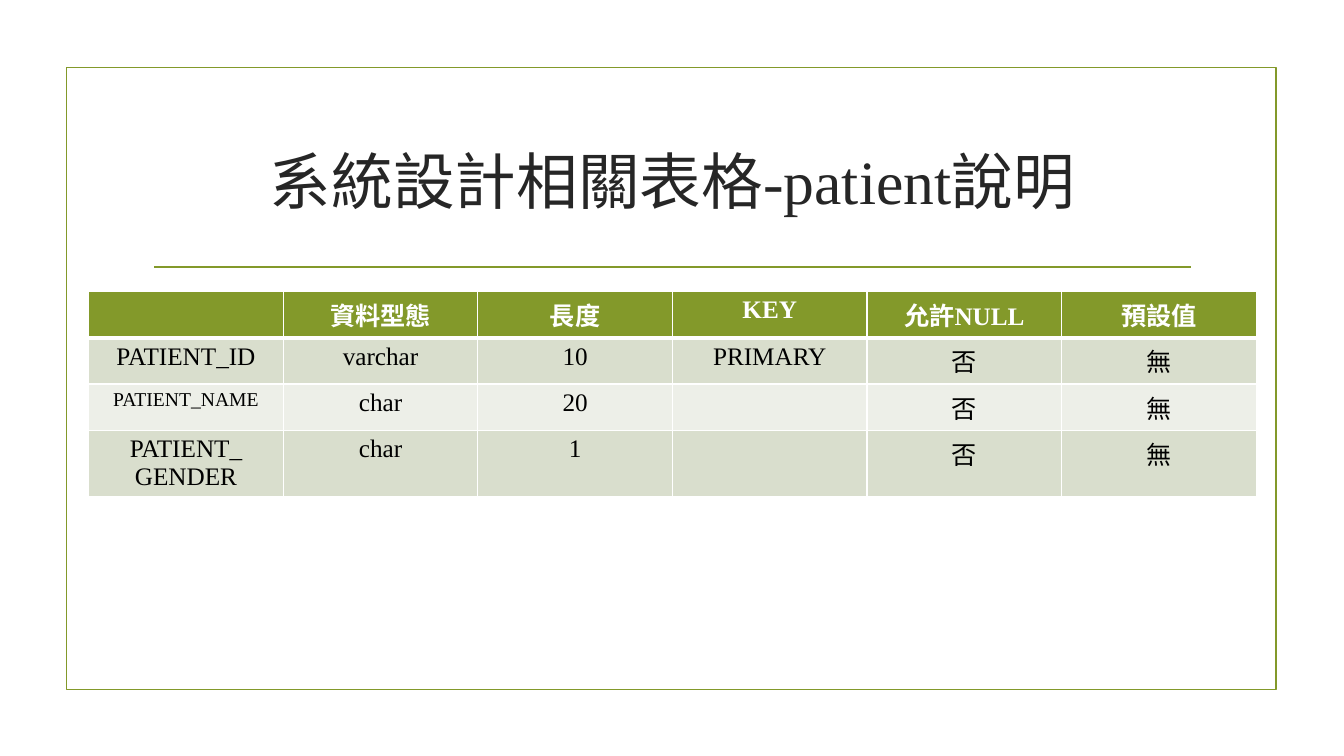
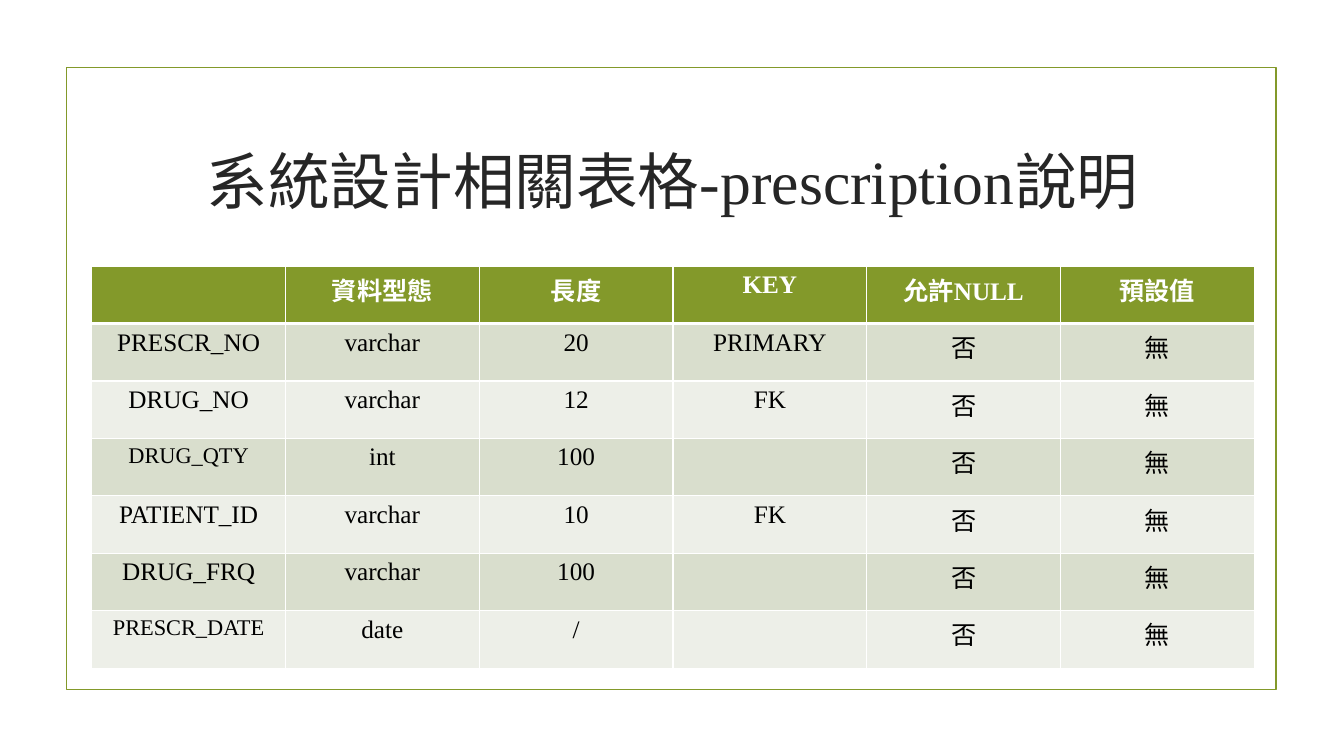
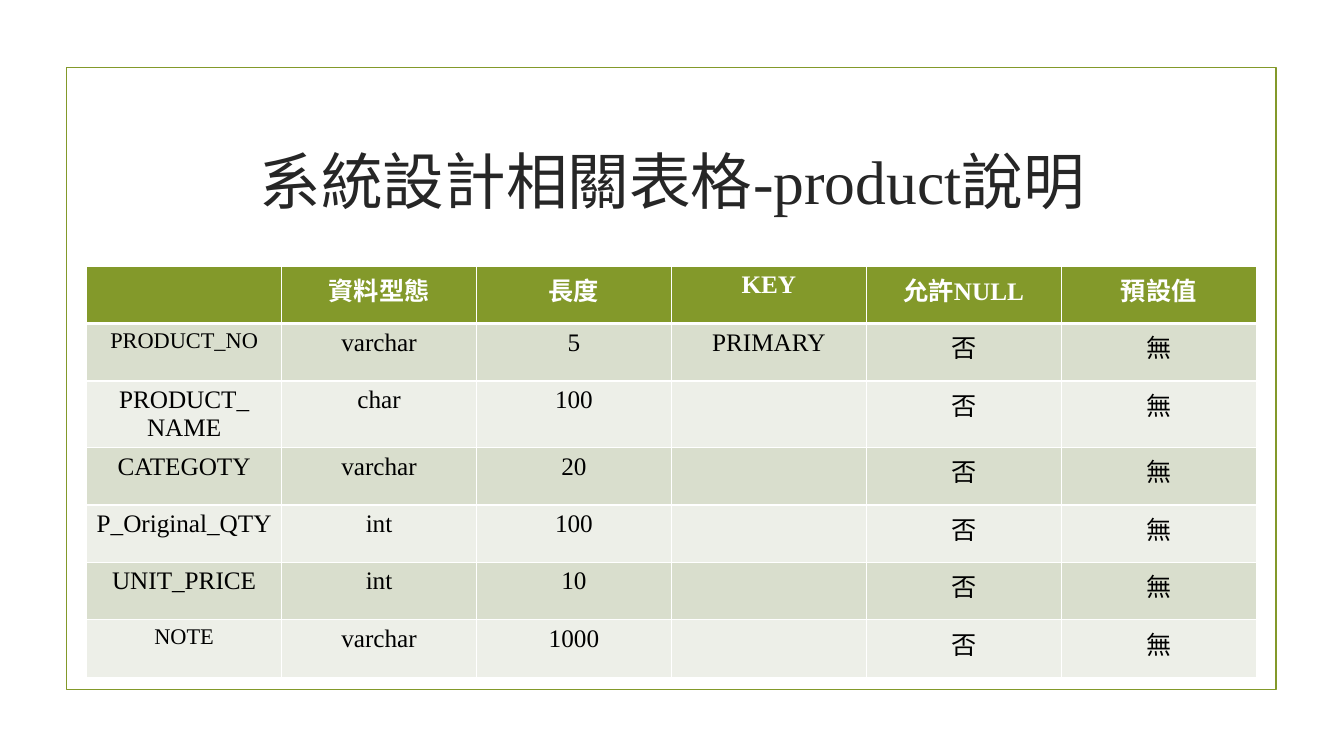
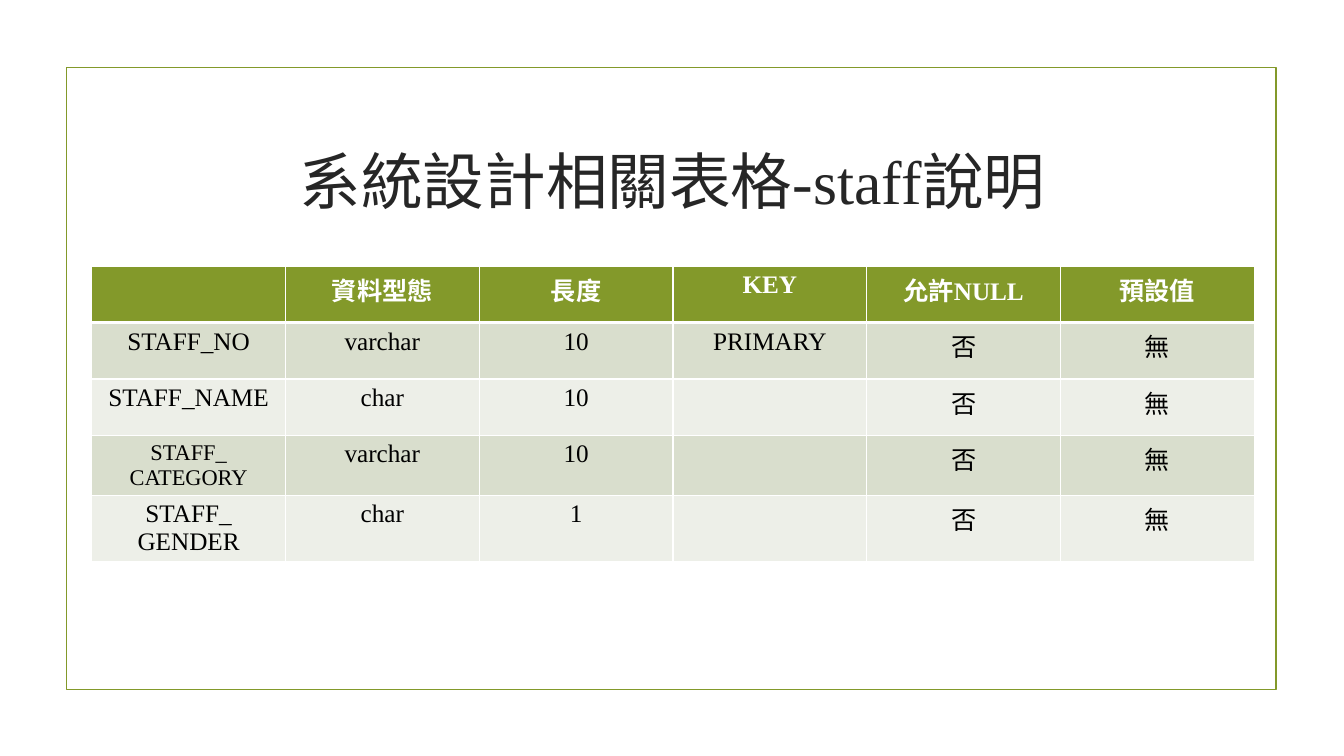
"""Build four slides that describe the database tables of a clinic system."""
import pptx
import pptx.util
import pptx.dml.color
import pptx.enum.lang
import pptx.enum.shapes
import pptx.enum.text
import pptx.oxml
import pptx.oxml.ns

Inches, Pt = pptx.util.Inches, pptx.util.Pt
RGBColor = pptx.dml.color.RGBColor

GREEN = RGBColor(0x83, 0x99, 0x2A)
INK = RGBColor(0x26, 0x26, 0x26)
BLACK = RGBColor(0, 0, 0)
WHITE = RGBColor(0xFF, 0xFF, 0xFF)
BANDS = (RGBColor(0xD9, 0xDE, 0xCD), RGBColor(0xED, 0xEF, 0xE8))
FONT = "Times New Roman"
SIDE_MARGIN = Inches(0.07)
BOTTOM_MARGIN = Inches(0.01)

HEADER = ("", "資料型態", "長度", "KEY", "允許NULL", "預設值")
DEFAULTS = ("否", "無")
TABLES = [
    {"name": "patient", "at": (0.88, 2.89), "width": 11.58, "row": 0.46,
     "small": {"PATIENT_NAME": 14},
     "fields": [
         ("PATIENT_ID", "varchar", "10", "PRIMARY"),
         ("PATIENT_NAME", "char", "20", ""),
         ("PATIENT_\nGENDER", "char", "1", ""),
     ]},
    {"name": "prescription", "at": (0.91, 2.64), "width": 11.53, "row": 0.57,
     "small": {"DRUG_QTY": 16, "PRESCR_DATE": 16},
     "fields": [
         ("PRESCR_NO", "varchar", "20", "PRIMARY"),
         ("DRUG_NO", "varchar", "12", "FK"),
         ("DRUG_QTY", "int", "100", ""),
         ("PATIENT_ID", "varchar", "10", "FK"),
         ("DRUG_FRQ", "varchar", "100", ""),
         ("PRESCR_DATE", "date", "/", ""),
     ]},
    {"name": "product", "at": (0.86, 2.64), "width": 11.6, "row": 0.57,
     "small": {"PRODUCT_NO": 16, "NOTE": 16},
     "fields": [
         ("PRODUCT_NO", "varchar", "5", "PRIMARY"),
         ("PRODUCT_\nNAME", "char", "100", ""),
         ("CATEGOTY", "varchar", "20", ""),
         ("P_Original_QTY", "int", "100", ""),
         ("UNIT_PRICE", "int", "10", ""),
         ("NOTE", "varchar", "1000", ""),
     ]},
    {"name": "staff", "at": (0.91, 2.64), "width": 11.53, "row": 0.56,
     "small": {"STAFF_\nCATEGORY": 16},
     "fields": [
         ("STAFF_NO", "varchar", "10", "PRIMARY"),
         ("STAFF_NAME", "char", "10", ""),
         ("STAFF_\nCATEGORY", "varchar", "10", ""),
         ("STAFF_\nGENDER", "char", "1", ""),
     ]},
]


def write(frame, text, size=18, color=BLACK, bold=False):
    for index, line in enumerate(text.split("\n")):
        para = frame.add_paragraph() if index else frame.paragraphs[0]
        para.alignment = pptx.enum.text.PP_ALIGN.CENTER
        if line:
            span = para.add_run()
            span.text = line
            span.font.name = FONT
            span.font.size = Pt(size)
            span.font.bold = bold
            span.font.color.rgb = color
            span.font.language_id = pptx.enum.lang.MSO_LANGUAGE_ID.TRADITIONAL_CHINESE


def set_borders(cell, **widths):
    properties = cell._tc.get_or_add_tcPr()
    for side in "LRTB":
        properties.append(pptx.oxml.parse_xml(
            f'<a:ln{side} {pptx.oxml.ns.nsdecls("a")} w="{Pt(widths.get(side, 1))}">'
            f'<a:solidFill><a:srgbClr val="{WHITE}"/></a:solidFill></a:ln{side}>'))


def add_base(page, title):
    frame = page.shapes.add_shape(
        pptx.enum.shapes.MSO_SHAPE.RECTANGLE,
        Inches(0.66), Inches(0.67), Inches(12), Inches(6.17))
    frame.shadow.inherit = False
    frame.fill.background()
    rule = page.shapes.add_connector(
        pptx.enum.shapes.MSO_CONNECTOR.STRAIGHT,
        Inches(1.53), Inches(2.65), Inches(11.81), Inches(2.65))
    rule._element.spPr.append(pptx.oxml.parse_xml(
        f'<a:effectLst {pptx.oxml.ns.nsdecls("a")}/>'))
    for outline in (frame.line, rule.line):
        outline.color.rgb = GREEN
        outline.width = Pt(1.25)
    box = page.shapes.add_textbox(Inches(1.42), Inches(1.07), Inches(10.5), Inches(1.43))
    box.text_frame.word_wrap = True
    box.text_frame.vertical_anchor = pptx.enum.text.MSO_ANCHOR.MIDDLE
    write(box.text_frame, title, size=44, color=INK)


def add_fields(page, content):
    rows = [HEADER] + [field + DEFAULTS for field in content["fields"]]
    left, top = content["at"]
    table = page.shapes.add_table(
        len(rows), len(HEADER), Inches(left), Inches(top),
        Inches(content["width"]), Inches(content["row"] * len(rows))).table
    table.horz_banding = False
    for column in table.columns:
        column.width = Inches(content["width"] / len(HEADER))
    for r, row in enumerate(rows):
        table.rows[r].height = Inches(content["row"])
        for c, text in enumerate(row):
            cell = table.cell(r, c)
            cell.margin_left = cell.margin_right = SIDE_MARGIN
            cell.margin_bottom = BOTTOM_MARGIN
            set_borders(cell, T=3 if r == 1 else 1, B=3 if r == 0 else 1)
            cell.fill.solid()
            cell.fill.fore_color.rgb = BANDS[(r - 1) % 2] if r else GREEN
            write(cell.text_frame, text, size=content["small"].get(text, 18),
                  color=BLACK if r else WHITE, bold=r == 0)


def main():
    deck = pptx.Presentation()
    deck.slide_width, deck.slide_height = Inches(13.33), Inches(7.5)
    for content in TABLES:
        page = deck.slides.add_slide(deck.slide_layouts[6])
        add_base(page, f"系統設計相關表格-{content['name']}說明")
        add_fields(page, content)
    deck.save("out.pptx")


if __name__ == "__main__":
    main()
